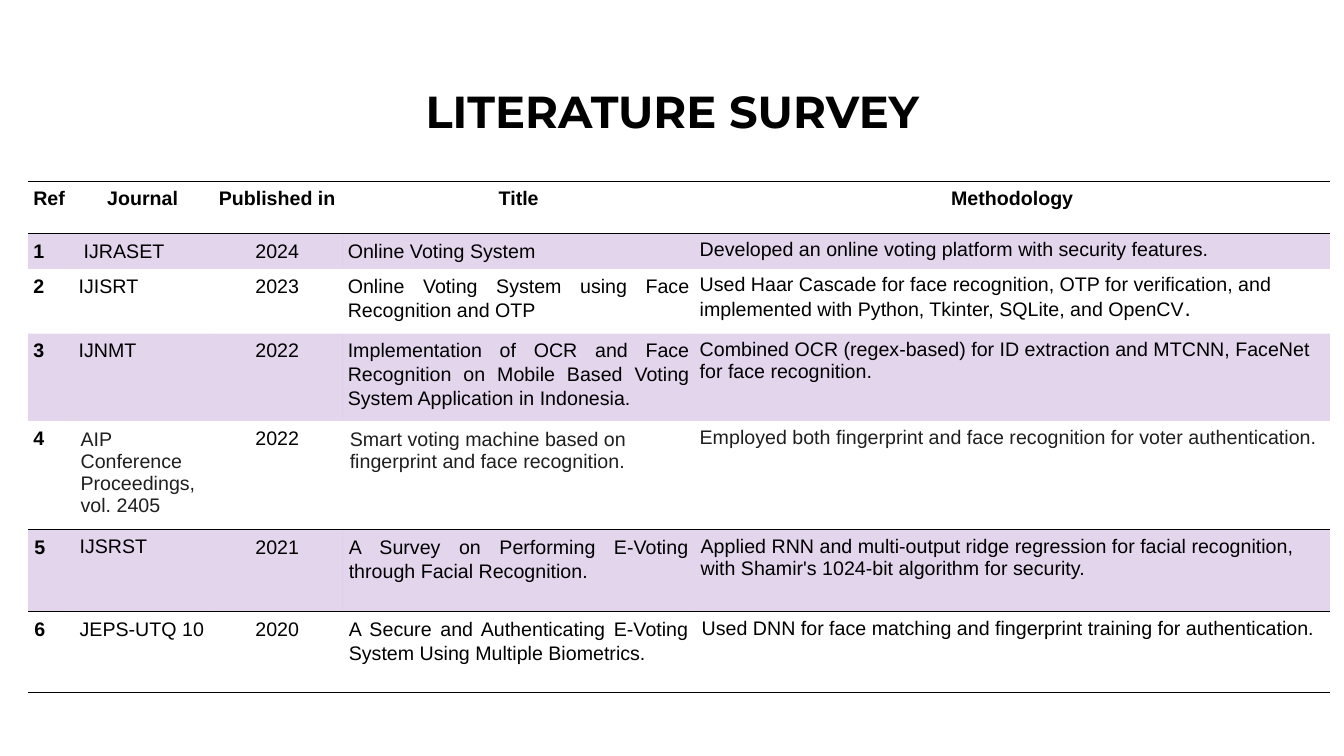
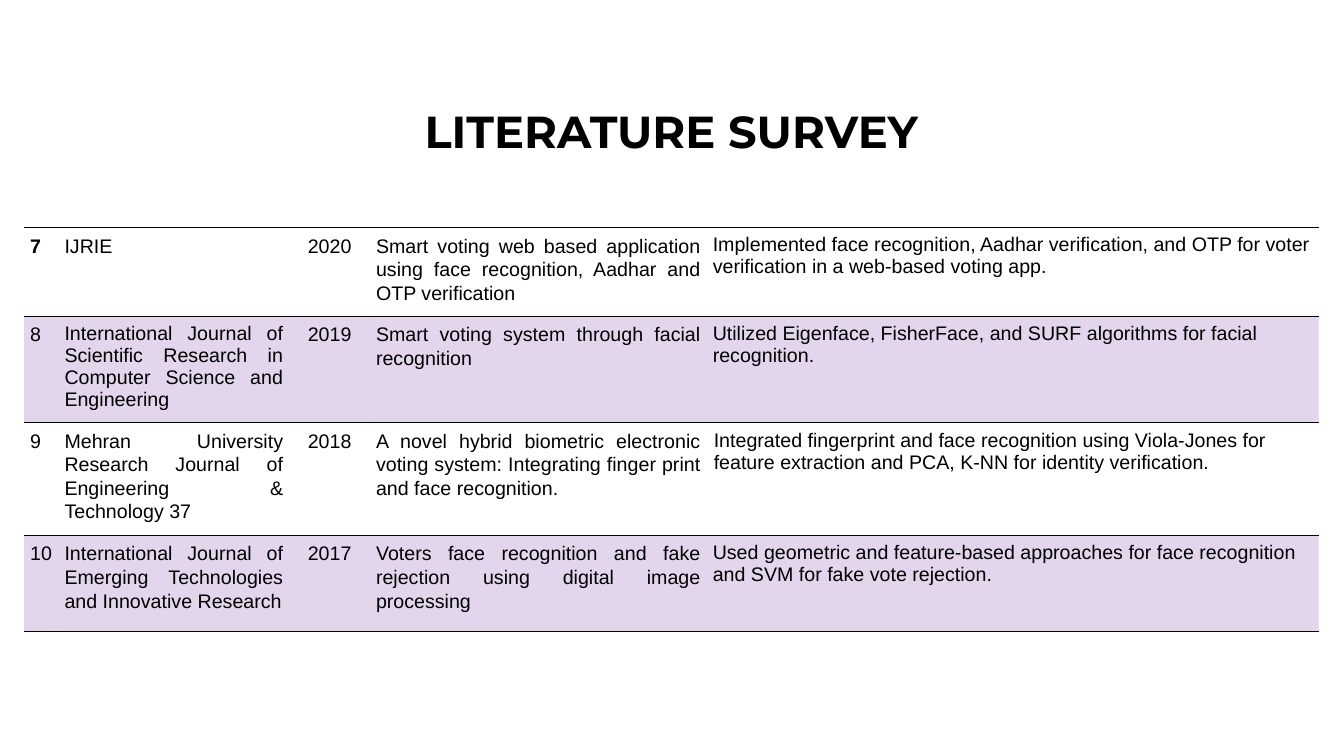
from lxml.etree import SubElement
from pptx import Presentation
from pptx.dml.color import RGBColor
from pptx.enum.text import MSO_ANCHOR, PP_ALIGN
from pptx.oxml.ns import qn
from pptx.util import Inches, Pt

COLORS = {"ink": "000000", "soft": "1F1F1F", "band": "7030A0", "paper": "FFFFFF"}
NO_STYLE = "{2D5ABB26-0587-4C30-8999-92F81FD0307C}"
BAND_ALPHA = "20000"
ALIGNS = [PP_ALIGN.JUSTIFY, PP_ALIGN.JUSTIFY, PP_ALIGN.CENTER, PP_ALIGN.JUSTIFY, PP_ALIGN.LEFT]
REF, JOURNAL, YEAR, TITLE, METHOD = range(5)
BOLD_REFS = {"1", "2", "3", "4", "5", "6", "7"}
BANDED_REFS = {"1", "3", "5", "8", "10"}
UNRULED_REFS = {"1", "2", "3"}
NARROW_REFS = UNRULED_REFS | {"Ref", "4"}
SINGLE_SPACED = {("4", JOURNAL), ("5", JOURNAL), ("8", JOURNAL), ("4", TITLE)}
WIDE_INSETS = {("4", JOURNAL), ("4", TITLE), ("6", METHOD), ("9", METHOD)}
SOFT_CELLS = {("4", JOURNAL), ("4", TITLE), ("4", METHOD)}

SLIDES = [
    {
        "title": (1.67, 0.95, 10, 0.36),
        "at": (0.28, 1.8),
        "cols": [0.45, 1.37, 1.3, 3.49, 6.3],
        "heights": [0.52, 0.35, 0.64, 0.87, 1.01, 0.81, 0.81],
        "rows": [
            ("Ref", "Journal", "Published in", "Title", "Methodology"),
            ("1", "IJRASET", "2024", "Online Voting System",
             "Developed an online voting platform with security features."),
            ("2", "IJISRT", "2023", "Online Voting System using Face Recognition and OTP",
             "Used Haar Cascade for face recognition, OTP for verification, and "
             "implemented with Python, Tkinter, SQLite, and OpenCV."),
            ("3", "IJNMT", "2022",
             "Implementation of OCR and Face Recognition on Mobile Based Voting "
             "System Application in Indonesia.",
             "Combined OCR (regex-based) for ID extraction and MTCNN, FaceNet for face recognition."),
            ("4", "AIP Conference Proceedings, vol. 2405", "2022",
             "Smart voting machine based on fingerprint and face recognition.",
             "Employed both fingerprint and face recognition for voter authentication."),
            ("5", "IJSRST", "2021", "A Survey on Performing E-Voting through Facial Recognition.",
             "Applied RNN and multi-output ridge regression for facial recognition, "
             "with Shamir's 1024-bit algorithm for security."),
            ("6", "JEPS-UTQ 10", "2020",
             "A Secure and Authenticating E-Voting System Using Multiple Biometrics.",
             "Used DNN for face matching and fingerprint training for authentication."),
        ],
    },
    {
        "title": (1.64, 1.19, 10.04, 0.28),
        "at": (0.24, 2.26),
        "cols": [0.34, 2.29, 0.8, 3.34, 6.07],
        "heights": [0.88, 1.01, 1.12, 0.95],
        "rows": [
            ("7", "IJRIE", "2020",
             "Smart voting web based application using face recognition, Aadhar and OTP verification",
             "Implemented face recognition, Aadhar verification, and OTP for voter "
             "verification in a web-based voting app."),
            ("8", "International Journal of Scientific Research in Computer Science and Engineering",
             "2019", "Smart voting system through facial recognition",
             "Utilized Eigenface, FisherFace, and SURF algorithms for facial recognition."),
            ("9", "Mehran University Research Journal of Engineering & Technology 37", "2018",
             "A novel hybrid biometric electronic voting system: Integrating finger print "
             "and face recognition.",
             "Integrated fingerprint and face recognition using Viola-Jones for feature "
             "extraction and PCA, K-NN for identity verification."),
            ("10", "International Journal of Emerging Technologies and Innovative Research",
             "2017", "Voters face recognition and fake rejection using digital image processing",
             "Used geometric and feature-based approaches for face recognition and SVM "
             "for fake vote rejection."),
        ],
    },
]


def set_font(p, name, size, color, bold):
    p.font.name = name
    p.font.size = Pt(size)
    p.font.bold = bold
    p.font.color.rgb = RGBColor.from_string(COLORS[color])


def add_rule(cell, side):
    ln = SubElement(cell._tc.get_or_add_tcPr(), qn(f"a:{side}"), w=str(Pt(1)))
    fill = SubElement(ln, qn("a:solidFill"))
    SubElement(fill, qn("a:srgbClr"), val=COLORS["ink"])


prs = Presentation()
prs.slide_width, prs.slide_height = Inches(13.33), Inches(7.5)

for spec_slide in SLIDES:
    s = prs.slides.add_slide(prs.slide_layouts[6])

    tf = s.shapes.add_textbox(*map(Inches, spec_slide["title"])).text_frame
    tf.word_wrap = True
    tf.vertical_anchor = MSO_ANCHOR.MIDDLE
    p = tf.paragraphs[0]
    p.text = "LITERATURE SURVEY"
    p.alignment = PP_ALIGN.CENTER
    p.line_spacing = 0.9
    set_font(p, "Montserrat", 32, "ink", True)

    rows, cols, heights = spec_slide["rows"], spec_slide["cols"], spec_slide["heights"]
    left, top = spec_slide["at"]
    frame = s.shapes.add_table(len(rows), len(cols), Inches(left), Inches(top),
                               Inches(sum(cols)), Inches(sum(heights)))
    table = frame.table
    table.first_row = table.horz_banding = False
    table._tbl.tblPr.find(qn("a:tableStyleId")).text = NO_STYLE
    for col, width in zip(table.columns, cols):
        col.width = Inches(width)

    for i, (row, texts) in enumerate(zip(table.rows, rows)):
        row.height = Inches(heights[i])
        ref = texts[REF]
        header = ref == "Ref"
        for j, (cell, text) in enumerate(zip(row.cells, texts)):
            key = (ref, j)
            inset = 0.07 if key in WIDE_INSETS else 0.05 if ref in NARROW_REFS else 0.06
            cell.margin_left = cell.margin_right = Inches(inset)
            cell.margin_top = cell.margin_bottom = Inches(inset)
            if key == ("1", JOURNAL):
                cell.margin_left = Inches(0.1)

            if i == 0:
                add_rule(cell, "lnT")
            if ref not in UNRULED_REFS:
                add_rule(cell, "lnB")
            cell.fill.solid()
            banded = ref in BANDED_REFS
            cell.fill.fore_color.rgb = RGBColor.from_string(COLORS["band" if banded else "paper"])
            if banded:
                color = cell._tc.tcPr.find(qn("a:solidFill")).find(qn("a:srgbClr"))
                SubElement(color, qn("a:alpha"), val=BAND_ALPHA)

            p = cell.text_frame.paragraphs[0]
            p.alignment = ALIGNS[j]
            if header:
                p.alignment = PP_ALIGN.LEFT if j == REF else PP_ALIGN.CENTER
            elif key == ("4", TITLE):
                p.alignment = PP_ALIGN.LEFT
            single = key in SINGLE_SPACED or (j == METHOD and not header)
            p.line_spacing = 1.0 if single else 1.07
            set_font(p, "Arial", 14, "soft" if key in SOFT_CELLS else "ink",
                     header or (j == REF and ref in BOLD_REFS))
            if key == ("2", METHOD):
                p.add_run().text = text[:-1]
                r = p.add_run()
                r.text = text[-1]
                r.font.size = Pt(16)
            else:
                p.add_run().text = text

prs.save("out.pptx")
